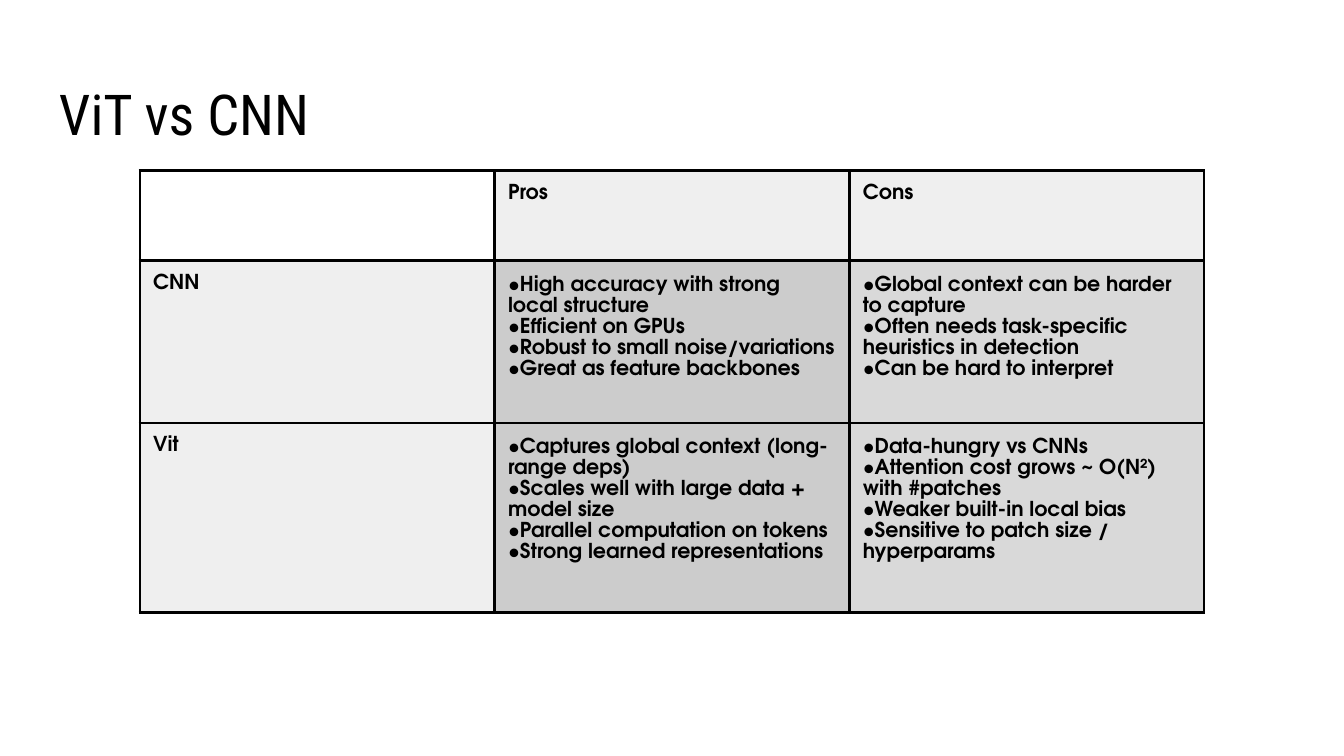
from lxml.etree import SubElement
from pptx import Presentation
from pptx.dml.color import RGBColor
from pptx.enum.text import MSO_ANCHOR
from pptx.oxml.ns import qn
from pptx.util import Inches, Pt

BLACK = RGBColor(0x00, 0x00, 0x00)
WHITE = RGBColor(0xFF, 0xFF, 0xFF)
HEADER_GRAY = RGBColor(0xEF, 0xEF, 0xEF)
PROS_GRAY = RGBColor(0xCC, 0xCC, 0xCC)
CONS_GRAY = RGBColor(0xD9, 0xD9, 0xD9)

TITLE_FONT = "Roboto Condensed"
TABLE_FONT = "TeX Gyre Adventor"
MARGIN = Inches(0.1)
COLUMN_WIDTH = Inches(2.64)
# The model rows grow to fit their text
ROW_HEIGHTS = [Inches(0.67), Inches(0.42), Inches(0.42)]

HEADERS = ["", "Pros", "Cons"]
MODELS = [
    (
        "CNN",
        [
            "•High accuracy with strong local structure",
            "•Efficient on GPUs",
            "•Robust to small noise/variations",
            "•Great as feature backbones",
        ],
        [
            "•Global context can be harder to capture",
            "•Often needs task-specific heuristics in detection",
            "•Can be hard to interpret",
        ],
    ),
    (
        "Vit",
        [
            "•Captures global context (long-range deps)",
            "•Scales well with large data + model size",
            "•Parallel computation on tokens",
            "•Strong learned representations",
        ],
        [
            "•Data-hungry vs CNNs",
            "•Attention cost grows ~ O(N²) with #patches",
            "•Weaker built-in local bias",
            "•Sensitive to patch size / hyperparams",
        ],
    ),
]


def set_margins(target):
    target.margin_left = target.margin_right = MARGIN
    target.margin_top = target.margin_bottom = MARGIN


def add_run(paragraph, text, font_name, size, bold=False):
    run = paragraph.add_run()
    run.text = text
    run.font.name = font_name
    run.font.size = Pt(size)
    run.font.bold = bold
    run.font.color.rgb = BLACK


def add_title(slide, text):
    box = slide.shapes.add_textbox(
        Inches(0.34), Inches(0.49), Inches(9.32), Inches(0.63)
    )
    frame = box.text_frame
    frame.word_wrap = True
    frame.vertical_anchor = MSO_ANCHOR.TOP
    set_margins(frame)
    add_run(frame.paragraphs[0], text, TITLE_FONT, 30.2)


def add_borders(cell):
    # Border elements must come before the fill in the cell properties
    properties = cell._tc.get_or_add_tcPr()
    for side in ("a:lnL", "a:lnR", "a:lnT", "a:lnB"):
        line = SubElement(properties, qn(side), w=str(Pt(1.5)))
        fill = SubElement(line, qn("a:solidFill"))
        SubElement(fill, qn("a:srgbClr"), val=str(BLACK))


def fill_cell(cell, lines, color, line_spacing=None):
    add_borders(cell)
    cell.fill.solid()
    cell.fill.fore_color.rgb = color
    set_margins(cell)
    frame = cell.text_frame
    for index, text in enumerate(lines):
        paragraph = frame.add_paragraph() if index else frame.paragraphs[0]
        if line_spacing:
            paragraph.line_spacing = line_spacing
        if text:
            add_run(paragraph, text, TABLE_FONT, 11, bold=True)


def add_comparison_table(slide):
    table = slide.shapes.add_table(
        len(ROW_HEIGHTS), len(HEADERS), Inches(1.04), Inches(1.27),
        COLUMN_WIDTH * len(HEADERS), sum(ROW_HEIGHTS),
    ).table
    table.first_row = table.horz_banding = False
    for column in table.columns:
        column.width = COLUMN_WIDTH
    for row, height in zip(table.rows, ROW_HEIGHTS):
        row.height = height

    # Header row, with an empty corner
    for column, header in enumerate(HEADERS):
        fill_cell(table.cell(0, column), [header], HEADER_GRAY if header else WHITE)

    # One row per model
    for row, (name, pros, cons) in enumerate(MODELS, start=1):
        fill_cell(table.cell(row, 0), [name], HEADER_GRAY)
        fill_cell(table.cell(row, 1), pros, PROS_GRAY, 1.1)
        fill_cell(table.cell(row, 2), cons, CONS_GRAY, 1.1)


def main():
    presentation = Presentation()
    # Widescreen, 16 to 9
    presentation.slide_width = Inches(10)
    presentation.slide_height = Inches(10) * 9 // 16
    slide = presentation.slides.add_slide(presentation.slide_layouts[6])
    slide.background.fill.solid()
    slide.background.fill.fore_color.rgb = WHITE
    add_title(slide, "ViT vs CNN")
    add_comparison_table(slide)
    presentation.save("out.pptx")


if __name__ == "__main__":
    main()
